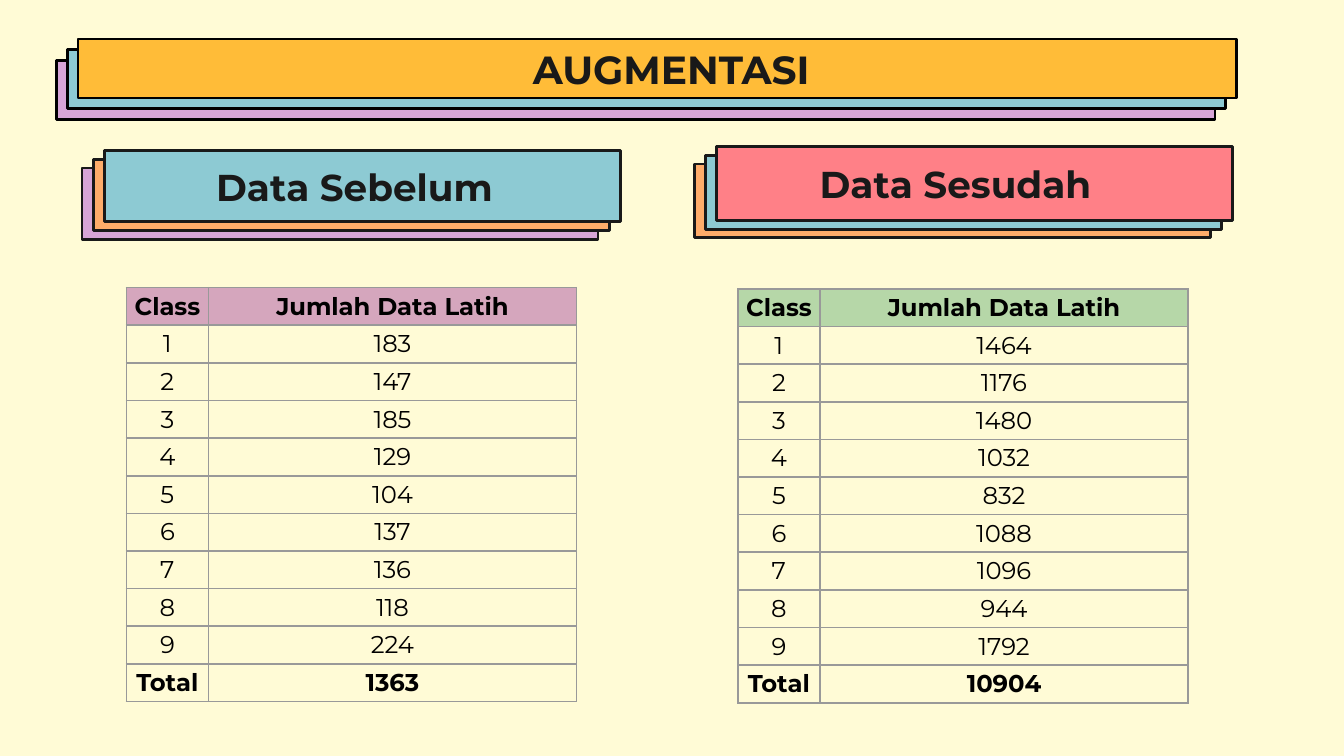
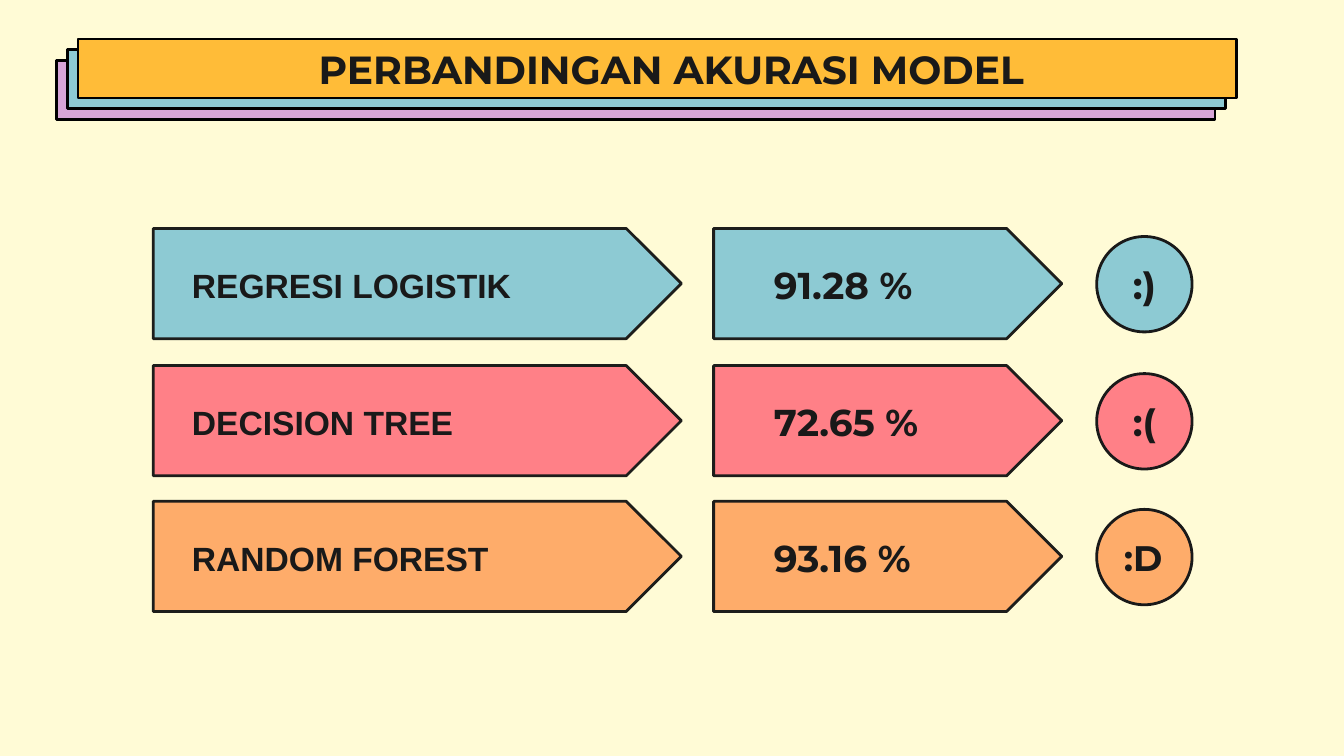
from lxml import etree
from pptx import Presentation
from pptx.dml.color import RGBColor
from pptx.enum import shapes, text
from pptx.oxml import ns
from pptx.util import Inches, Pt

CREAM = RGBColor(0xFF, 0xFB, 0xD6)
YELLOW = RGBColor(0xFF, 0xBC, 0x38)
BLUE = RGBColor(0x8D, 0xCA, 0xD3)
PURPLE = RGBColor(0xD7, 0xA5, 0xD7)
ORANGE = RGBColor(0xFE, 0xAC, 0x6A)
CORAL = RGBColor(0xFF, 0x80, 0x87)
MAUVE = RGBColor(0xD5, 0xA6, 0xBD)
GREEN = RGBColor(0xB6, 0xD7, 0xA8)
GREY = RGBColor(0x99, 0x99, 0x99)
INK = RGBColor(0x19, 0x19, 0x19)
SOFT_INK = RGBColor(0x1D, 0x1D, 0x1B)
BLACK = RGBColor(0, 0, 0)
FONT = "Montserrat"
LEFT, CENTER = text.PP_ALIGN.LEFT, text.PP_ALIGN.CENTER
SHAPE = shapes.MSO_SHAPE

TABLE_HEADER = ("Class", "Jumlah Data Latih")
COLUMN_WIDTHS = (0.61, 2.74)
ROW_HEIGHT = 0.28

# Each stack lists its colours from back to front; card_at places the front card
# and reach is how far the back card sticks out to the left and below.
DATA_SETS = [
    dict(label="Data Sebelum", label_at=(1.51, 1.16, 2.73, 0.45),
         card_at=(0.78, 1.12, 3.84, 0.53), reach=(0.17, 0.13),
         stack=(PURPLE, ORANGE, BLUE),
         table_at=(0.94, 2.14), header_fill=MAUVE,
         counts=(183, 147, 185, 129, 104, 137, 136, 118, 224)),
    dict(label="Data Sesudah", label_at=(6, 1.14, 2.65, 0.45),
         card_at=(5.33, 1.09, 3.84, 0.55), reach=(0.16, 0.13),
         stack=(ORANGE, BLUE, CORAL),
         table_at=(5.49, 2.15), header_fill=GREEN,
         counts=(1464, 1176, 1480, 1032, 832, 1088, 1096, 944, 1792)),
]

# Model, accuracy, face, face size, face alignment, colour, top
MODELS = [
    ("REGRESI LOGISTIK", "91.28 %", ":)", 20, CENTER, BLUE, 1.7),
    ("DECISION TREE", "72.65 %", ":(", 20, CENTER, CORAL, 2.72),
    ("RANDOM FOREST", "93.16 %", ":D", 19, LEFT, ORANGE, 3.73),
]


def add_figure(page, kind, at, fill, line=INK):
    figure = page.shapes.add_shape(kind, *map(Inches, at))
    figure.shadow.inherit = False
    figure.fill.solid()
    figure.fill.fore_color.rgb = fill
    figure.line.color.rgb = line
    figure.line.width = Pt(1.5)
    return figure


def write(frame, words, size, align=LEFT, font=FONT, color=INK, bold=True):
    para = frame.paragraphs[0]
    para.text = words
    para.alignment = align
    para.font.name = font
    para.font.size = Pt(size)
    para.font.bold = bold
    para.font.color.rgb = color


def set_frame(frame):
    frame.word_wrap = True
    frame.vertical_anchor = text.MSO_ANCHOR.MIDDLE
    frame.margin_left = frame.margin_right = Inches(0.1)
    frame.margin_top = frame.margin_bottom = Inches(0.1)
    return frame


def add_label(page, at, words, size, **style):
    box = page.shapes.add_textbox(*map(Inches, at))
    write(set_frame(box.text_frame), words, size, **style)


def add_stack(page, at, colors, reach, line=INK):
    """Draw evenly offset cards, the last colour in front at the given place."""
    left, top, width, height = at
    last = len(colors) - 1
    for index, color in enumerate(colors):
        depth = (last - index) / last
        place = (left - depth * reach[0], top + depth * reach[1], width, height)
        add_figure(page, SHAPE.RECTANGLE, place, color, line)


def add_page(deck, title):
    page = deck.slides.add_slide(deck.slide_layouts[6])
    page.background.fill.solid()
    page.background.fill.fore_color.rgb = CREAM
    add_stack(page, (0.58, 0.29, 8.62, 0.44), (PURPLE, BLUE, YELLOW),
              (0.16, 0.16), BLACK)
    add_label(page, (0.58, 0.29, 8.83, 0.44), title, 21, align=CENTER)
    return page


def set_borders(cell):
    properties = cell._tc.get_or_add_tcPr()
    for position, side in enumerate(("lnL", "lnR", "lnT", "lnB")):
        border = etree.Element(ns.qn("a:" + side), w=str(Pt(1)))
        fill = etree.SubElement(border, ns.qn("a:solidFill"))
        etree.SubElement(fill, ns.qn("a:srgbClr"), val=str(GREY))
        properties.insert(position, border)


def add_count_table(page, at, counts, header_fill):
    rows = [TABLE_HEADER, *enumerate(counts, 1), ("Total", sum(counts))]
    frame = page.shapes.add_table(
        len(rows), len(COLUMN_WIDTHS), Inches(at[0]), Inches(at[1]),
        Inches(sum(COLUMN_WIDTHS)), Inches(ROW_HEIGHT * len(rows)))
    table = frame.table
    table.first_row = table.horz_banding = False
    for column, width in zip(table.columns, COLUMN_WIDTHS):
        column.width = Inches(width)
    for row_index, row in enumerate(rows):
        table.rows[row_index].height = Inches(ROW_HEIGHT)
        for column_index, value in enumerate(row):
            cell = table.cell(row_index, column_index)
            cell.margin_left = cell.margin_right = Inches(0.03)
            cell.margin_top = cell.margin_bottom = Inches(0.03)
            if row_index == 0:
                cell.fill.solid()
                cell.fill.fore_color.rgb = header_fill
            else:
                cell.fill.background()
            write(cell.text_frame, str(value), 13, align=CENTER, color=BLACK,
                  bold=row_index in (0, len(rows) - 1))
            set_borders(cell)


def build_augmentation(deck):
    page = add_page(deck, "AUGMENTASI")
    for data in reversed(DATA_SETS):
        add_count_table(page, data["table_at"], data["counts"], data["header_fill"])
    for data in DATA_SETS:
        add_stack(page, data["card_at"], data["stack"], data["reach"])
        add_label(page, data["label_at"], data["label"], 20)


def build_accuracy(deck):
    page = add_page(deck, "PERBANDINGAN AKURASI MODEL")
    for model, accuracy, face, face_size, face_align, color, top in MODELS:
        for left, width in ((5.31, 2.59), (1.14, 3.93)):
            add_figure(page, SHAPE.PENTAGON, (left, top, width, 0.82), color, SOFT_INK)
        add_label(page, (1.33, top + 0.2, 3.12, 0.44), model, 18, font="Arial")
        add_label(page, (5.66, top + 0.27, 1.79, 0.29), accuracy, 20)
        circle = add_figure(page, SHAPE.OVAL, (8.16, top + 0.06, 0.71, 0.71), color)
        write(set_frame(circle.text_frame), face, face_size, align=face_align)


def main():
    deck = Presentation()
    deck.slide_width = Inches(10)
    deck.slide_height = deck.slide_width * 9 // 16
    build_augmentation(deck)
    build_accuracy(deck)
    deck.save("out.pptx")


if __name__ == "__main__":
    main()
